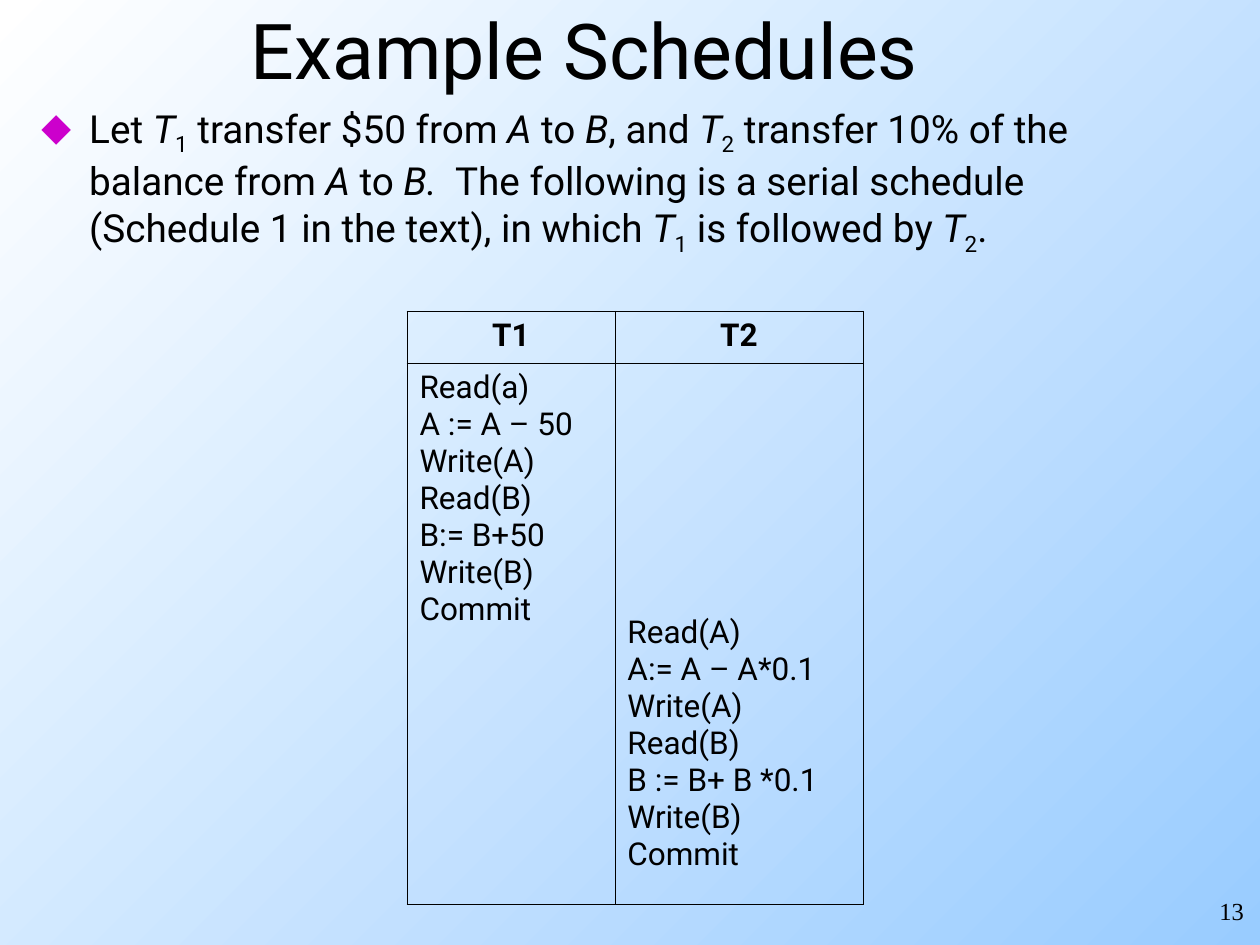
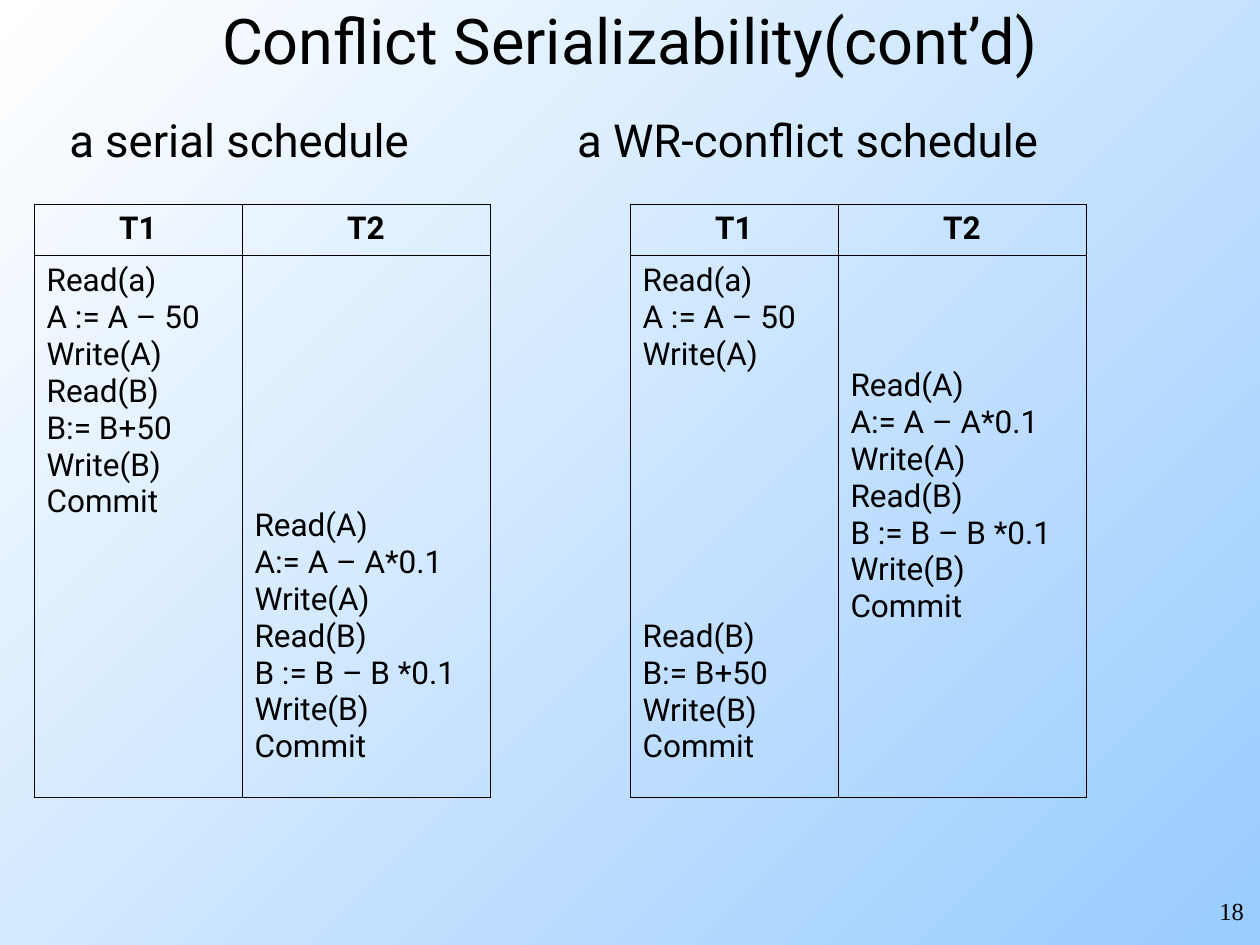
from dataclasses import dataclass
from typing import NamedTuple

from lxml import etree
from pptx import Presentation
from pptx import util as u
from pptx.dml import color
from pptx.enum import text
from pptx.oxml import ns

COLORS = {"ink": "000000", "top": "FFFFFF", "base": "99CCFF", "mark": "CC00CC"}
FONT = "Roboto"
COLS = (1.65, 1.97)
ROWS = (0.41, 4.3)
GAP = 20


class Run(NamedTuple):
    text: str
    slant: bool = False
    low: bool = False


class Step(NamedTuple):
    text: str
    skip: int = 0


@dataclass
class Box:
    left: float
    top: float
    width: float
    height: float
    size: float
    font: str = FONT
    align: text.PP_ALIGN = text.PP_ALIGN.LEFT
    anchor: text.MSO_ANCHOR = text.MSO_ANCHOR.TOP


@dataclass
class Plan:
    left: float
    top: float
    first: list[Step]
    second: list[Step]


def rgb(name: str) -> color.RGBColor:
    return color.RGBColor.from_string(COLORS[name])


def node(parent, tag: str, **attrs: str):
    return etree.SubElement(parent, ns.qn(tag), attrs)


def style(par, size: float, font: str = FONT, bold: bool = False) -> None:
    par.font.size = u.Pt(size)
    par.font.name = font
    par.font.bold = bold
    par.font.color.rgb = rgb("ink")


def detail(par, *items) -> None:
    last = par._p.get_or_add_pPr().find(ns.qn("a:defRPr"))
    for item in items:
        last.addprevious(item)


def write(slide, box: Box, runs: list[Run]):
    shape = slide.shapes.add_textbox(
        u.Inches(box.left), u.Inches(box.top), u.Inches(box.width), u.Inches(box.height))
    frame = shape.text_frame
    frame.word_wrap = True
    frame.vertical_anchor = box.anchor
    par = frame.paragraphs[0]
    par.alignment = box.align
    style(par, box.size, box.font)
    for item in runs:
        run = par.add_run()
        run.text = item.text
        if item.slant:
            run.font.italic = True
        if item.low:
            run._r.get_or_add_rPr().set("baseline", "-25000")
    return frame


def border(cell) -> None:
    cell.fill.background()
    props = cell._tc.get_or_add_tcPr()
    for spot, side in enumerate("LRTB"):
        line = node(props, f"a:ln{side}", w=str(u.Pt(0.45)))
        fill = node(line, "a:solidFill")
        node(fill, "a:srgbClr", val=COLORS["ink"])
        props.insert(spot, line)


def fill_steps(cell, steps: list[Step]) -> None:
    cell.margin_top = u.Inches(0.05) + u.Pt(GAP * steps[0].skip)
    frame = cell.text_frame
    for spot, step in enumerate(steps):
        par = frame.add_paragraph() if spot else frame.paragraphs[0]
        par.text = step.text
        style(par, 18)
        if spot and step.skip:
            par.space_before = u.Pt(GAP * step.skip)


def draw_plan(slide, plan: Plan) -> None:
    table = slide.shapes.add_table(
        2, 2, u.Inches(plan.left), u.Inches(plan.top),
        u.Inches(sum(COLS)), u.Inches(sum(ROWS))).table
    table.first_row = table.horz_banding = False
    for row, height in zip(table.rows, ROWS):
        row.height = u.Inches(height)
    for spot, (width, steps) in enumerate(zip(COLS, (plan.first, plan.second))):
        table.columns[spot].width = u.Inches(width)
        head, body = table.cell(0, spot), table.cell(1, spot)
        par = head.text_frame.paragraphs[0]
        par.text = f"T{spot + 1}"
        par.alignment = text.PP_ALIGN.CENTER
        style(par, 18, bold=True)
        fill_steps(body, steps)
        border(head)
        border(body)


def new_slide(deck, title: str, box: Box, number: int):
    slide = deck.slides.add_slide(deck.slide_layouts[6])
    fill = slide.background.fill
    fill.gradient()
    fill.gradient_angle = 315
    for stop, name in zip(fill.gradient_stops, ("top", "base")):
        stop.color.rgb = rgb(name)
    write(slide, box, [Run(title)])
    write(slide, Box(7.89, 7.06, 2.08, 0.36, 14, "Times New Roman",
                     text.PP_ALIGN.RIGHT), [Run(str(number))])
    return slide


def title_box(left: float, height: float, size: float) -> Box:
    return Box(left, 0, 8.5, height, size, FONT,
               text.PP_ALIGN.CENTER, text.MSO_ANCHOR.MIDDLE)


def steps(*lines: str, skip: int = 0) -> list[Step]:
    return [Step(line, 0 if spot else skip) for spot, line in enumerate(lines)]


def take(sign: str, skip: int) -> list[Step]:
    return steps("Read(A)", "A:= A – A*0.1", "Write(A)", "Read(B)",
                 f"B := B{sign} B *0.1", "Write(B)", "Commit", skip=skip)


def move(skip: int = 0) -> list[Step]:
    return (steps("Read(a)", "A := A – 50", "Write(A)")
            + steps("Read(B)", "B:= B+50", "Write(B)", "Commit", skip=skip))


def bullet(par) -> None:
    props = par._p.get_or_add_pPr()
    props.set("marL", str(u.Inches(0.38)))
    props.set("indent", str(u.Inches(-0.38)))
    tint = etree.Element(ns.qn("a:buClr"))
    node(tint, "a:srgbClr", val=COLORS["mark"])
    detail(par, tint, etree.Element(ns.qn("a:buChar"), char="◆"))


def example(deck) -> None:
    slide = new_slide(deck, "Example Schedules", title_box(0.39, 0.78, 44), 13)
    one = [Run("T", slant=True), Run("1", low=True)]
    two = [Run("T", slant=True), Run("2", low=True)]
    pair = [Run("A ", slant=True), Run("to ")]
    runs = [
        Run("Let "), *one, Run(" transfer $50 from "), *pair, Run("B", slant=True),
        Run(", and "), *two, Run(" transfer 10% of the balance from "), *pair,
        Run("B.", slant=True),
        Run("  The following is a serial schedule (Schedule 1 in the text), in which "),
        *one, Run(" is followed by "), *two, Run("."),
    ]
    par = write(slide, Box(0.23, 0.78, 9.22, 1.95, 22.1), runs).paragraphs[0]
    par.space_before = u.Pt(6.5)
    bullet(par)
    draw_plan(slide, Plan(3.23, 2.47, move(), take("+", 7)))


def conflict(deck) -> None:
    slide = new_slide(deck, "Conflict Serializability(cont’d)", title_box(0.75, 0.63, 36), 18)
    frame = write(slide, Box(0, 0.84, 10, 5.97, 26),
                  [Run("a serial schedule\ta WR-conflict schedule")])
    frame.margin_left = u.Inches(0.55)
    tabs = etree.Element(ns.qn("a:tabLst"))
    node(tabs, "a:tab", pos=str(u.Inches(4.03)), algn="l")
    detail(frame.paragraphs[0], tabs)
    draw_plan(slide, Plan(5, 1.62, move(7), take(" –", 3)))
    draw_plan(slide, Plan(0.27, 1.62, move(), take(" –", 7)))


def main() -> None:
    deck = Presentation()
    deck.slide_width, deck.slide_height = u.Inches(10), u.Inches(7.5)
    example(deck)
    conflict(deck)
    deck.save("out.pptx")


if __name__ == "__main__":
    main()
